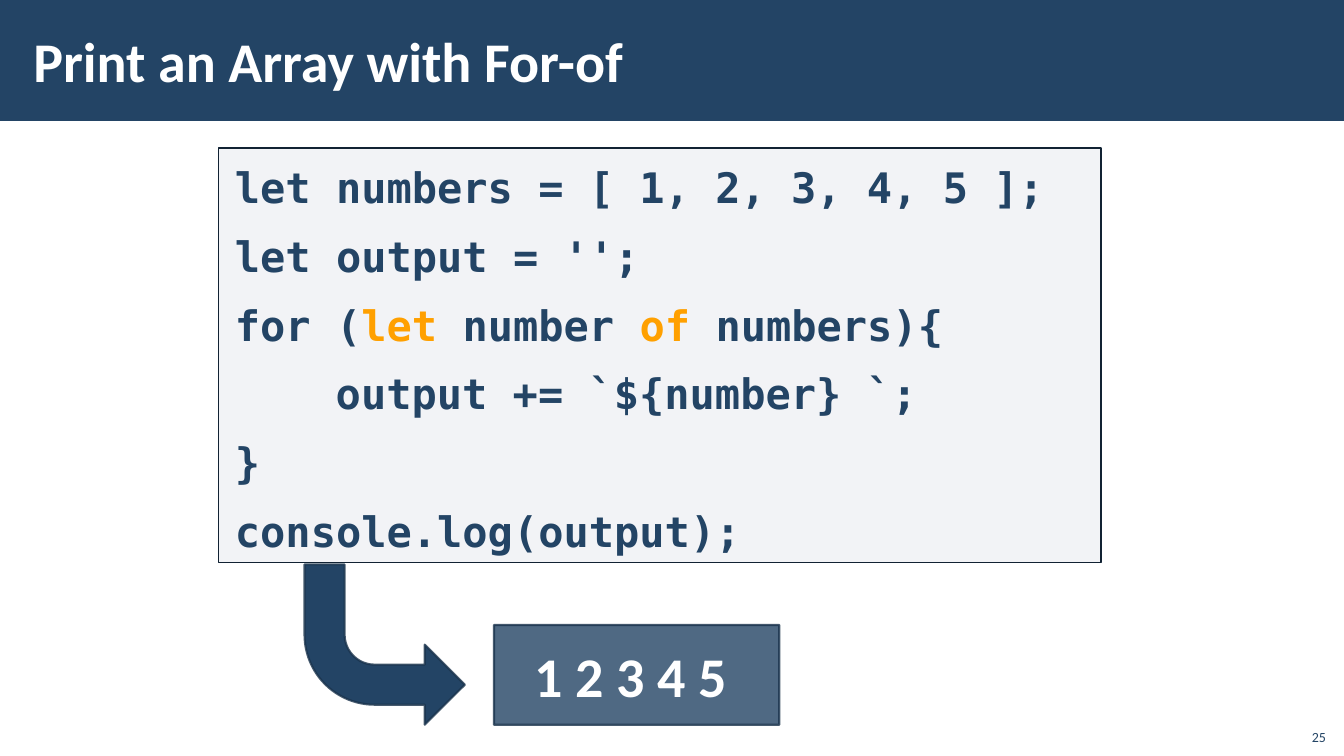
from pptx import Presentation
from pptx.dml.color import RGBColor
from pptx.enum import shapes, text
from pptx.oxml import ns, xmlchemy
from pptx.util import Inches, Pt

COLORS = {"navy": "234465", "edge": "1A334C", "frame": "112233",
          "pale": "ADB4C3", "gold": "FFA000", "white": "FFFFFF"}
MONO, SANS = "DejaVu Sans Mono", "Calibri"
KIND = shapes.MSO_SHAPE


def add_run(para, words, size, color, font=SANS, bold=True):
    run = para.add_run()
    run.text = words
    run.font.size, run.font.name, run.font.bold = Pt(size), font, bold
    run.font.color.rgb = RGBColor.from_string(COLORS[color])


def add_box(kind, place, fill, alpha=100, line=None, width=1.5, clear=100):
    box = slide.shapes.add_shape(kind, *map(Inches, place))
    box.shadow.inherit = False
    box.fill.solid()
    box.fill.fore_color.rgb = RGBColor.from_string(COLORS[fill])
    if line:
        box.line.color.rgb = RGBColor.from_string(COLORS[line])
        box.line.width = Pt(width)
    else:
        box.line.fill.background()
    # Opacity of fill, then of line
    tints = list(box._element.spPr.iter(ns.qn("a:srgbClr")))
    for tint, part in zip(tints, (alpha, clear)):
        if part < 100:
            mark = xmlchemy.OxmlElement("a:alpha")
            mark.set("val", str(part * 1000))
            tint.append(mark)
    return box


deck = Presentation()
deck.slide_width, deck.slide_height = Inches(13.33), Inches(7.5)
slide = deck.slides.add_slide(deck.slide_layouts[5])

# Title bar, placed behind the title
bar = add_box(KIND.RECTANGLE, (0, 0, 13.33, 1.2), "navy")
slide.shapes._spTree.insert(2, bar._element)

# Title
title = slide.shapes.title
title.left, title.top = Inches(0.21), Inches(0.11)
title.width, title.height = Inches(10.63), Inches(0.97)
frame = title.text_frame
frame.auto_size = text.MSO_AUTO_SIZE.NONE
frame.vertical_anchor = text.MSO_ANCHOR.MIDDLE
frame.margin_left = frame.margin_right = Inches(0.12)
frame.margin_top = frame.margin_bottom = Inches(0.04)
frame.paragraphs[0].alignment = text.PP_ALIGN.LEFT
add_run(frame.paragraphs[0], "Print an Array with For-of", 40, "white")

# Code panel: each line is an indent and its coloured runs
code = [
    (0, [("let numbers = [ 1, 2, 3, 4, 5 ];", "navy")]),
    (0, [("let output = '';", "navy")]),
    (0, [("for (", "navy"), ("let ", "gold"), ("number ", "navy"),
         ("of ", "gold"), ("numbers){", "navy")]),
    (1, [("output += `${number} `;", "navy")]),
    (0, [("}", "navy")]),
    (0, [("console.log(output);", "navy")]),
]
panel = add_box(KIND.RECTANGLE, (2.17, 1.47, 8.75, 4.11), "pale", 15, "frame", 1)
frame = panel.text_frame
frame.word_wrap = True
frame.vertical_anchor = text.MSO_ANCHOR.TOP
frame.margin_left = frame.margin_right = Inches(0.16)
frame.margin_top = frame.margin_bottom = Inches(0.12)
for row, (indent, parts) in enumerate(code):
    para = frame.add_paragraph() if row else frame.paragraphs[0]
    para.alignment = text.PP_ALIGN.LEFT
    para.space_before = para.space_after = Pt(6)
    para.line_spacing = 1.03
    para._p.get_or_add_pPr().set("marL", str(Inches(indent)))
    for words, color in parts:
        add_run(para, words, 30, color, MONO)

# Arrow from the code to its output
arrow = add_box(KIND.BENT_ARROW, (3.02, 5.6, 1.59, 1.59), "navy",
                line="edge", clear=80)
arrow._element.spPr.xfrm.set("flipV", "1")

# Output
result = add_box(KIND.RECTANGLE, (4.9, 6.2, 2.83, 0.99), "navy", 80,
                 "edge", clear=80)
result.text_frame.vertical_anchor = text.MSO_ANCHOR.MIDDLE
para = result.text_frame.paragraphs[0]
para.alignment = text.PP_ALIGN.CENTER
add_run(para, "1 2 3 4 5 ", 40, "white")

# Page number
page = slide.shapes.add_textbox(*map(Inches, (12.85, 7.12, 0.4, 0.32)))
frame = page.text_frame
frame.word_wrap = True
frame.vertical_anchor = text.MSO_ANCHOR.BOTTOM
frame.paragraphs[0].alignment = text.PP_ALIGN.RIGHT
add_run(frame.paragraphs[0], "25", 10, "navy", bold=False)

deck.save("out.pptx")
